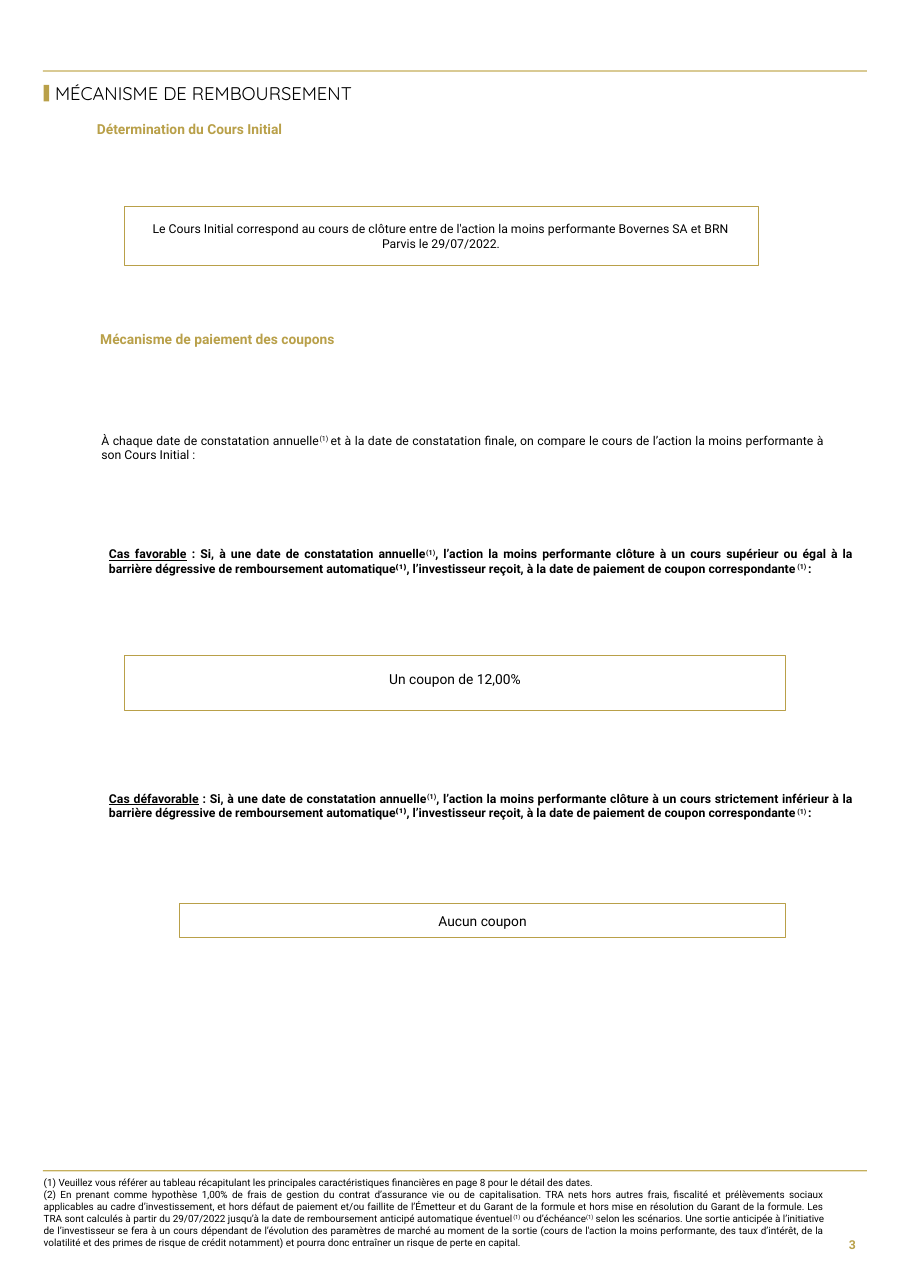
import dataclasses
import pptx
import pptx.util
import pptx.dml.color
import pptx.enum.shapes
import pptx.enum.text

ALIGN = pptx.enum.text.PP_ALIGN
ANCHOR = pptx.enum.text.MSO_ANCHOR
WIDE = pptx.util.Inches(8.27)
HIGH = pptx.util.Inches(11.69)


@dataclasses.dataclass(frozen=True)
class Theme:
    gold: str = "B9A049"
    pale: str = "C5AF5C"
    ink: str = "000000"
    white: str = "FFFFFF"
    head: str = "Quicksand"
    body: str = "Roboto"
    title: float = 12
    large: float = 9
    text: float = 8
    note: float = 6.5


THEME = Theme()
SUP = "sup"
LINE = "line"
MARK = ("(1)", SUP)
MARK_GAP = ("(1) ", SUP)


def color(code):
    return pptx.dml.color.RGBColor.from_string(code)


def place(area):
    """Turn percent shares of the slide into lengths."""
    left, top, width, height = area
    return (round(WIDE * left / 100), round(HIGH * top / 100),
            round(WIDE * width / 100), round(HIGH * height / 100))


def write(shape, paras, size, align=ALIGN.LEFT, anchor=ANCHOR.TOP,
          font=THEME.body, ink=THEME.ink, bold=False, space=1.0,
          inset=(0, 0, 0, 0)):
    """Fill a shape with paragraphs, each a list of (text, style) runs."""
    frame = shape.text_frame
    frame.word_wrap = True
    frame.vertical_anchor = anchor
    (frame.margin_left, frame.margin_top, frame.margin_right,
     frame.margin_bottom) = [pptx.util.Inches(side) for side in inset]
    for index, runs in enumerate(paras):
        para = frame.add_paragraph() if index else frame.paragraphs[0]
        para.alignment = align
        para.line_spacing = space
        for text, style in runs:
            run = para.add_run()
            run.text = text
            run.font.name = font
            run.font.size = pptx.util.Pt(size)
            run.font.bold = bold
            run.font.color.rgb = color(ink)
            if style == LINE:
                run.font.underline = True
            if style == SUP:
                run._r.get_or_add_rPr().set("baseline", "30000")


def label(slide, area, paras, size, **look):
    write(slide.shapes.add_textbox(*place(area)), paras, size, **look)


def block(slide, area, fill=None, line=None, weight=0.75):
    """Draw a plain rectangle."""
    shape = slide.shapes.add_shape(
        pptx.enum.shapes.MSO_SHAPE.RECTANGLE, *place(area))
    shape.shadow.inherit = False
    if fill:
        shape.fill.solid()
        shape.fill.fore_color.rgb = color(fill)
    else:
        shape.fill.background()
    if line:
        shape.line.color.rgb = color(line)
        shape.line.width = pptx.util.Pt(weight)
    else:
        shape.line.fill.background()
    return shape


def panel(slide, area, text, size, inset, fill=THEME.white, weight=0.75):
    """Draw a framed box with centred text."""
    shape = block(slide, area, fill, THEME.gold, weight)
    write(shape, [[(text, None)]], size, align=ALIGN.CENTER,
          anchor=ANCHOR.MIDDLE, inset=inset)


def heading(slide, left, top, text):
    label(slide, (left, top, 79, 1.5), [[(text, None)]], THEME.large,
          ink=THEME.gold, bold=True)


def case(slide, top, name, level):
    """Write one payment case, with its underlined name."""
    runs = [
        (name, LINE),
        (" : Si, à une date de constatation annuelle", None),
        MARK,
        (f", l’action la moins performante clôture à un cours {level} à la "
         "barrière dégressive de remboursement automatique⁽¹⁾, l’investisseur "
         "reçoit, à la date de paiement de coupon correspondante", None),
        MARK_GAP,
        (":", None),
    ]
    label(slide, (11.97, top, 81.74, 2.31), [runs], THEME.text,
          align=ALIGN.JUSTIFY, bold=True)


def footer(slide):
    first = [("(1) Veuillez vous référer au tableau récapitulant les "
              "principales caractéristiques financières en page 8 pour le "
              "détail des dates.", None)]
    second = [
        ("(2) En prenant comme hypothèse 1,00% de frais de gestion du "
         "contrat d’assurance vie ou de capitalisation. TRA nets hors autres "
         "frais, fiscalité et prélèvements sociaux applicables au cadre "
         "d’investissement, et hors défaut de paiement et/ou faillite de "
         "l’Émetteur et du Garant de la formule et hors mise en résolution "
         "du Garant de la formule. Les TRA sont calculés à partir du "
         "29/07/2022 jusqu’à la date de remboursement anticipé automatique "
         "éventuel", None),
        MARK,
        (" ou d’échéance", None),
        MARK,
        (" selon les scénarios. Une sortie anticipée à l’initiative de "
         "l’investisseur se fera à un cours dépendant de l’évolution des "
         "paramètres de marché au moment de la sortie (cours de l'action la "
         "moins performante, des taux d’intérêt, de la volatilité et des "
         "primes de risque de crédit notamment) et pourra donc entraîner un "
         "risque de perte en capital.", None),
    ]
    label(slide, (4.8, 91.36, 85.73, 5.65), [first, second], THEME.note,
          align=ALIGN.JUSTIFY)
    label(slide, (90.45, 94.87, 3.51, 3.59), [[("3", None)]], THEME.text,
          align=ALIGN.RIGHT, anchor=ANCHOR.MIDDLE, ink=THEME.gold, bold=True)


def main():
    deck = pptx.Presentation()
    deck.slide_width, deck.slide_height = WIDE, HIGH
    slide = deck.slides.add_slide(deck.slide_layouts[6])

    # Page rules and title
    for top in (5.47, 90.85):
        block(slide, (4.72, top, 90.45, 0.09), THEME.pale)
    block(slide, (4.8, 6.59, 0.6, 1.28), THEME.gold)
    label(slide, (6.05, 6.24, 50.91, 2.14),
          [[("MÉCANISME DE REMBOURSEMENT", None)]], THEME.title,
          font=THEME.head, anchor=ANCHOR.MIDDLE, space=0.9)

    # Initial price
    heading(slide, 10.64, 9.41, "Détermination du Cours Initial")
    panel(slide, (13.6, 16, 69.65, 4.62),
          "Le Cours Initial correspond au cours de clôture entre de l'action "
          "la moins performante Bovernes SA et BRN Parvis le 29/07/2022.",
          THEME.text, (0.12, 0.1, 0.12, 0.1), fill=None, weight=0.5)

    # Coupon payment
    heading(slide, 11, 25.66, "Mécanisme de paiement des coupons")
    label(slide, (11.12, 33.62, 79.44, 2.31), [[
        ("À chaque date de constatation annuelle", None),
        MARK_GAP,
        ("et à la date de constatation finale, on compare le cours de "
         "l’action la moins performante à son Cours Initial :", None),
    ]], THEME.text, align=ALIGN.JUSTIFY)

    # Good and bad cases
    case(slide, 42.43, "Cas favorable", "supérieur ou égal")
    panel(slide, (13.66, 50.9, 72.55, 4.28), "Un coupon de 12,00%",
          THEME.large, (0.12, 0.14, 0.12, 0.21))
    case(slide, 61.42, "Cas défavorable", "strictement inférieur")
    panel(slide, (19.71, 70.15, 66.51, 2.65), "Aucun coupon",
          THEME.large, (0.12, 0.08, 0.12, 0.08))

    footer(slide)
    deck.save("out.pptx")


if __name__ == "__main__":
    main()
